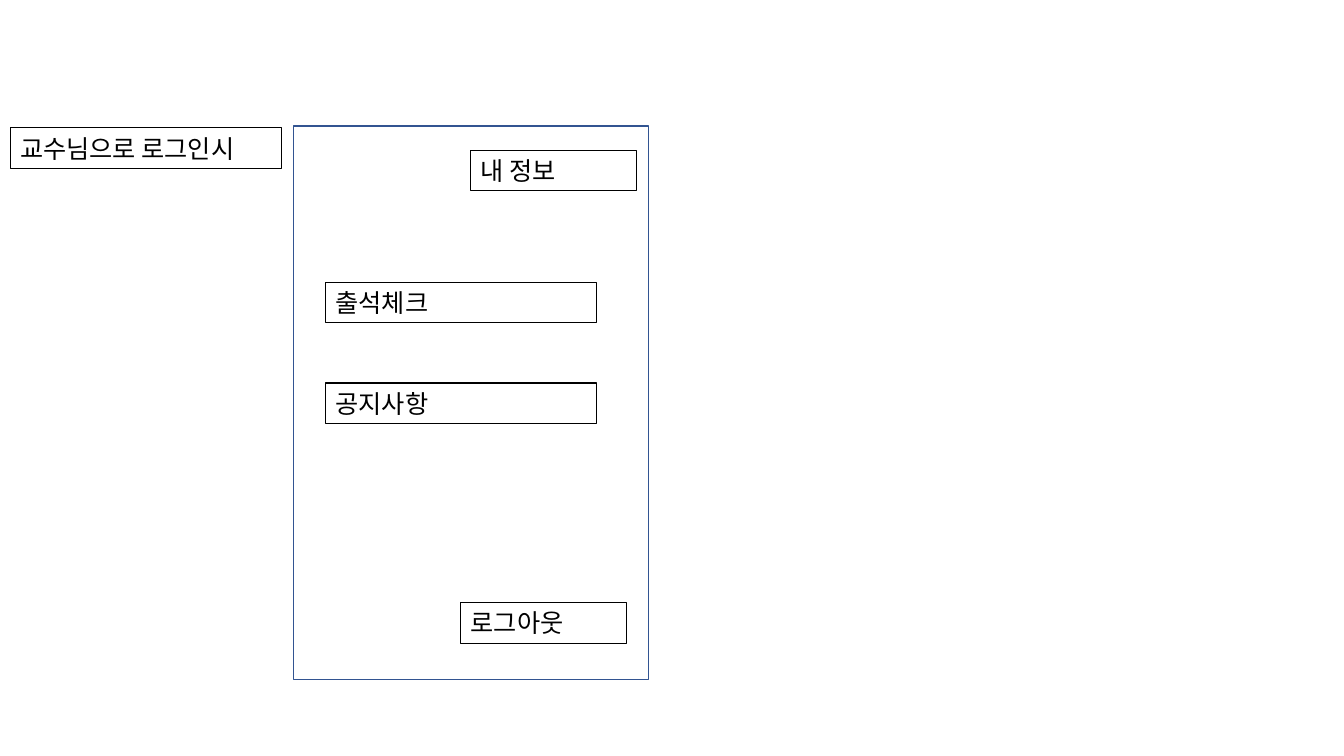
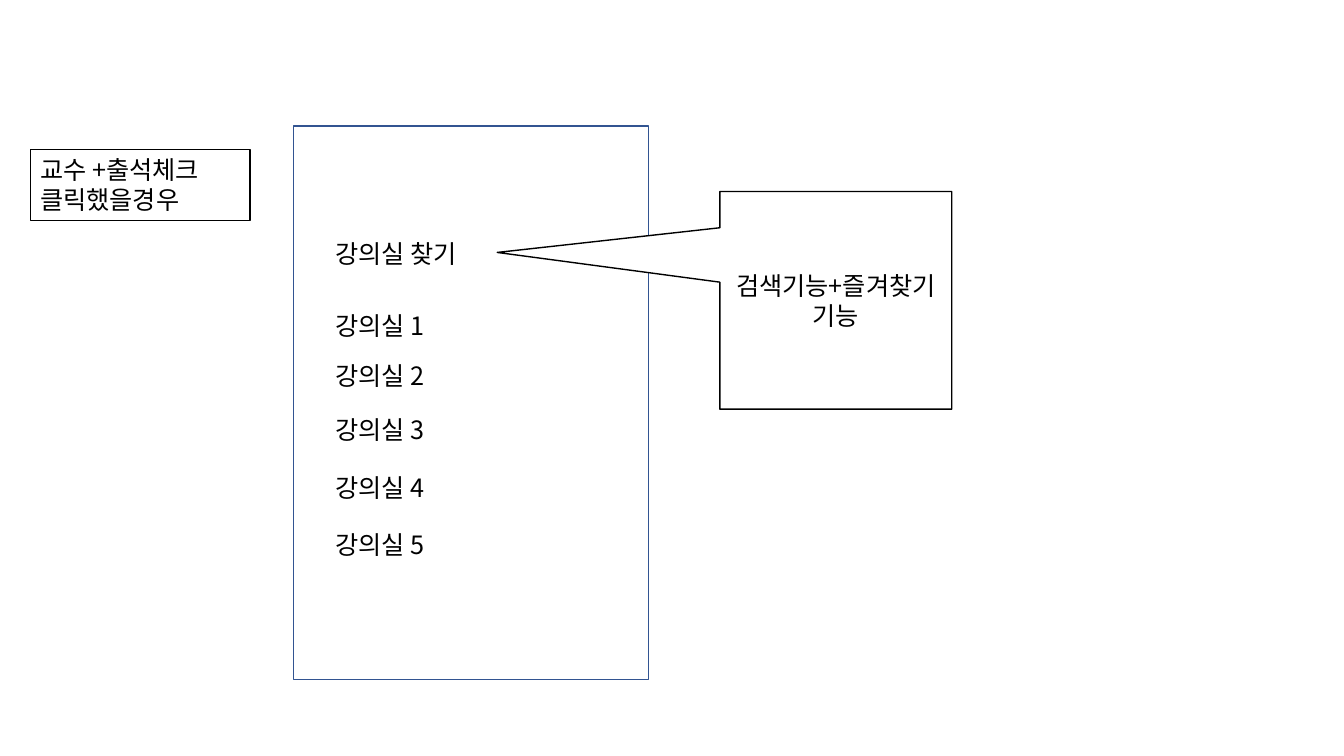
from lxml.etree import SubElement
from pptx import Presentation
from pptx.dml.color import RGBColor
from pptx.enum.shapes import MSO_SHAPE
from pptx.enum.text import MSO_ANCHOR, MSO_AUTO_SIZE, PP_ALIGN
from pptx.oxml.ns import qn
from pptx.util import Inches, Pt

FONT = "Noto Sans CJK KR"
BLACK = RGBColor(0x00, 0x00, 0x00)
WHITE = RGBColor(0xFF, 0xFF, 0xFF)
FRAME_BLUE = RGBColor(0x32, 0x54, 0x91)

ROW_HEIGHT = 0.4
MENU_LEFT, MENU_WIDTH = 3.23, 2.69
BUTTON_WIDTH = 1.64

# Each label: text, left, top, width, height, bordered
MENU_SCREEN = [
    ("내 정보", 4.67, 1.49, BUTTON_WIDTH, ROW_HEIGHT, True),
    ("출석체크", MENU_LEFT, 2.8, MENU_WIDTH, ROW_HEIGHT, True),
    ("공지사항", MENU_LEFT, 3.8, MENU_WIDTH, ROW_HEIGHT, True),
    ("교수님으로 로그인시", 0.1, 1.27, MENU_WIDTH, ROW_HEIGHT, True),
    ("로그아웃", 4.57, 5.98, BUTTON_WIDTH, ROW_HEIGHT, True),
]
CLASSROOMS = [
    ("강의실 찾기", 2.32),
    ("강의실 1", 3.03),
    ("강의실 2", 3.53),
    ("강의실 3", 4.06),
    ("강의실 4", 4.64),
    ("강의실 5", 5.2),
]
CLASSROOM_SCREEN = [("교수 +출석체크 클릭했을경우", 0.3, 1.48, 2.18, 0.71, True)] + [
    (text, MENU_LEFT, top, MENU_WIDTH, ROW_HEIGHT, False) for text, top in CLASSROOMS
]
CALLOUT_TEXT = "검색기능+즐겨찾기 기능"


def write_text(shape, text):
    shape.text_frame.word_wrap = True
    paragraph = shape.text_frame.paragraphs[0]
    paragraph.text = text
    font = paragraph.font
    font.name = FONT
    font.size = Pt(18)
    font.color.rgb = BLACK
    properties = paragraph._p.pPr.find(qn("a:defRPr"))
    SubElement(properties, qn("a:ea")).set("typeface", FONT)
    return paragraph


def add_outlined_shape(slide, kind, left, top, width, height, line_color):
    shape = slide.shapes.add_shape(
        kind, Inches(left), Inches(top), Inches(width), Inches(height)
    )
    shape.shadow.inherit = False
    shape.fill.solid()
    shape.fill.fore_color.rgb = WHITE
    shape.line.color.rgb = line_color
    shape.line.width = Pt(1)
    return shape


def add_label(slide, text, left, top, width, height, bordered):
    label = slide.shapes.add_textbox(
        Inches(left), Inches(top), Inches(width), Inches(height)
    )
    write_text(label, text)
    label.text_frame.auto_size = MSO_AUTO_SIZE.SHAPE_TO_FIT_TEXT
    if bordered:
        label.line.color.rgb = BLACK
        label.line.width = Pt(0.75)


def add_screen(presentation, labels):
    """Add a slide with the phone frame and its labels."""
    slide = presentation.slides.add_slide(presentation.slide_layouts[6])
    add_outlined_shape(slide, MSO_SHAPE.RECTANGLE, 2.91, 1.25, 3.52, 5.49, FRAME_BLUE)
    for label in labels:
        add_label(slide, *label)
    return slide


def add_callout(slide):
    callout = add_outlined_shape(
        slide, MSO_SHAPE.RECTANGULAR_CALLOUT, 7.14, 1.9, 2.3, 2.16, BLACK
    )
    callout.adjustments[0] = -1.46
    callout.adjustments[1] = -0.22
    callout.text_frame.vertical_anchor = MSO_ANCHOR.MIDDLE
    write_text(callout, CALLOUT_TEXT).alignment = PP_ALIGN.CENTER


def main():
    presentation = Presentation()
    presentation.slide_width = Inches(13.33)
    presentation.slide_height = Inches(7.5)
    add_screen(presentation, MENU_SCREEN)
    add_callout(add_screen(presentation, CLASSROOM_SCREEN))
    presentation.save("out.pptx")


if __name__ == "__main__":
    main()
